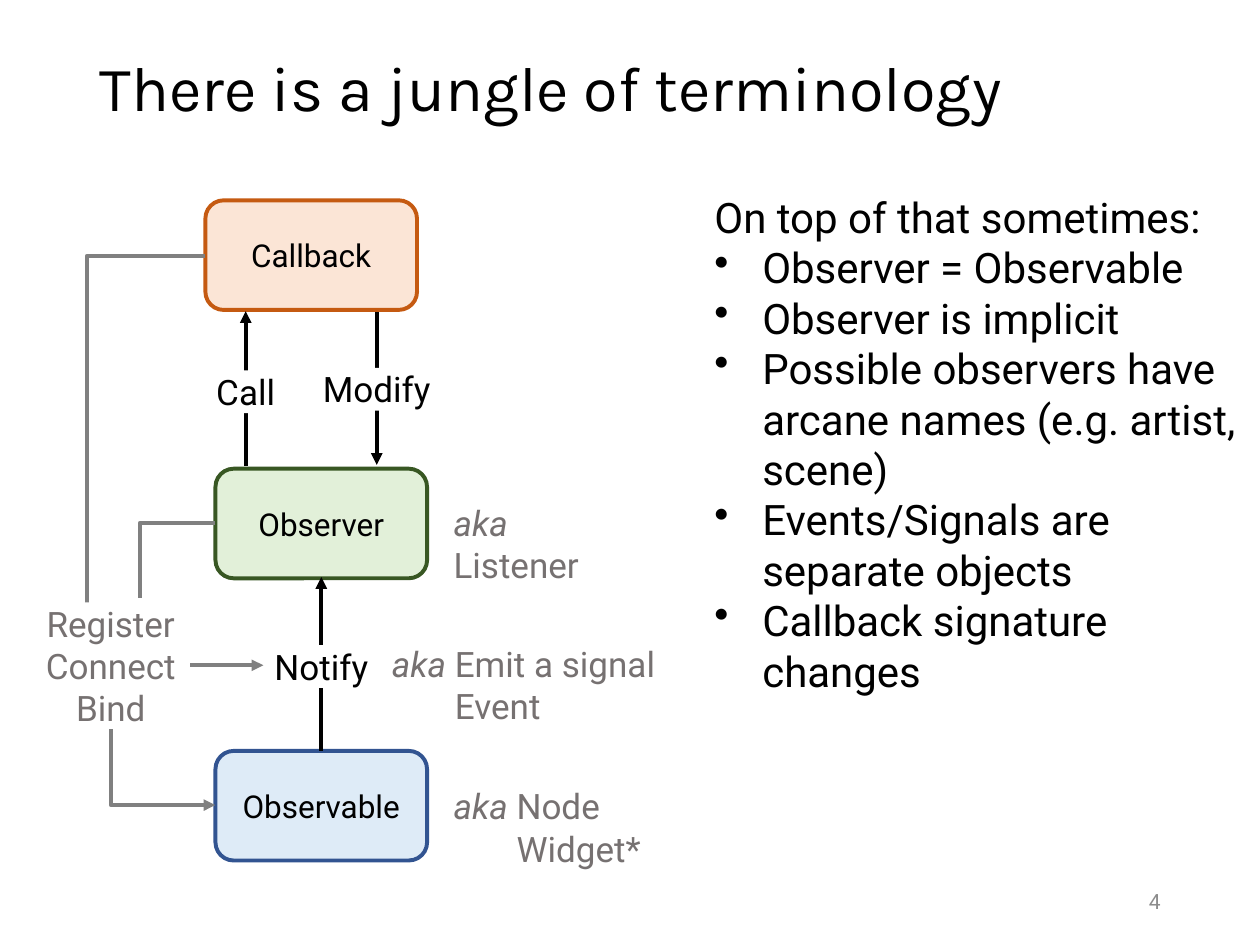
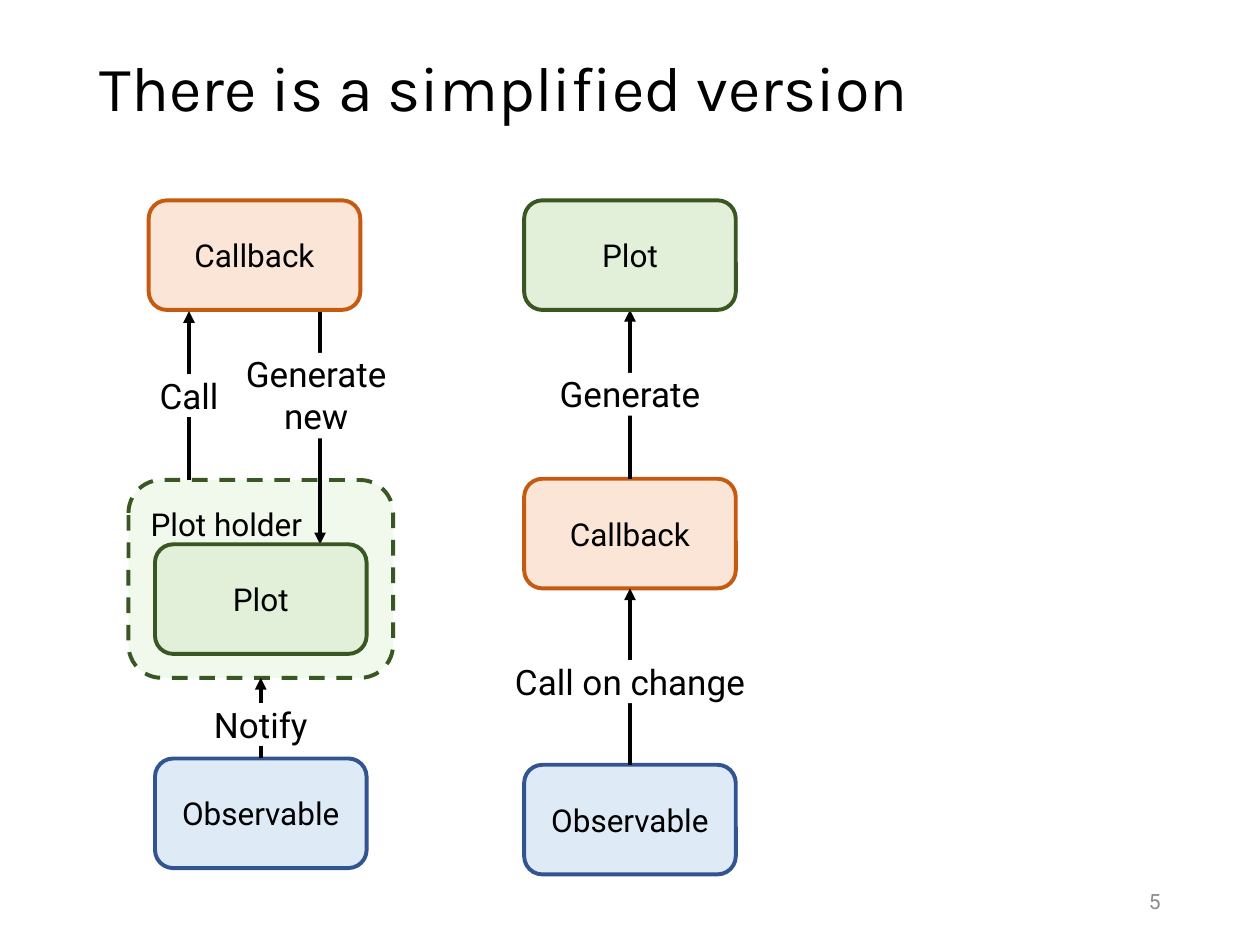
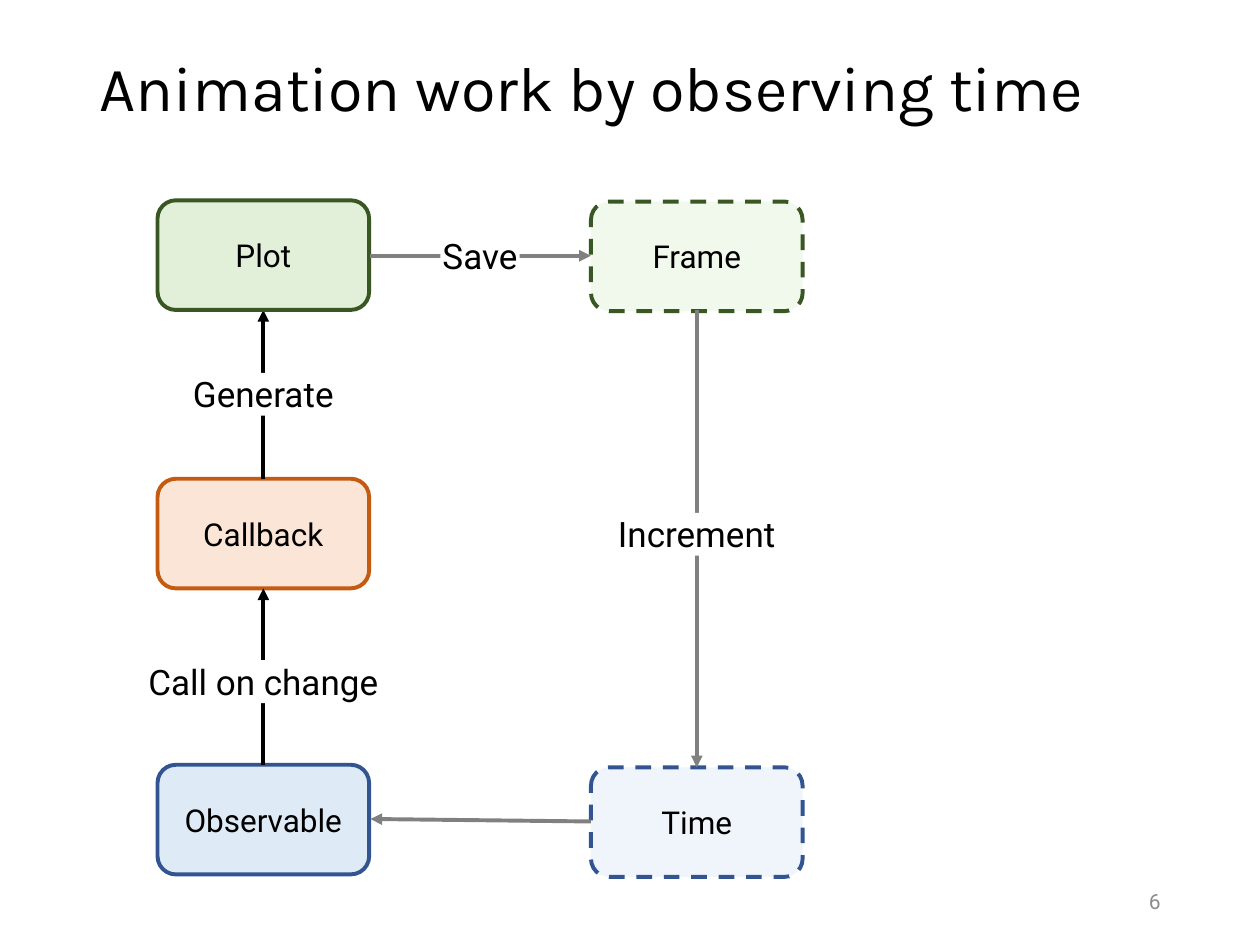
from lxml import etree
from pptx import Presentation
from pptx import util as u
from pptx.dml.color import RGBColor
from pptx.enum import dml, shapes, text
from pptx.oxml.ns import qn

BLACK = RGBColor(0, 0, 0)
WHITE = RGBColor(255, 255, 255)
GRAY = RGBColor(0x80, 0x80, 0x80)
NOTE = RGBColor(0x76, 0x71, 0x71)
PAGE = RGBColor(0x8C, 0x8C, 0x8C)
NAVY = RGBColor(0x32, 0x54, 0x91)
GREEN = RGBColor(0x38, 0x57, 0x23)
RUST = RGBColor(0xC5, 0x5A, 0x11)
SKY = RGBColor(0xDE, 0xEB, 0xF7)
MIST = RGBColor(0xEF, 0xF5, 0xFB)
LEAF = RGBColor(0xE2, 0xF0, 0xD9)
MINT = RGBColor(0xF1, 0xF8, 0xEC)
PEACH = RGBColor(0xFB, 0xE5, 0xD6)

KINDS = {
    "source": (SKY, NAVY, False),
    "view": (LEAF, GREEN, False),
    "call": (PEACH, RUST, False),
    "frame": (MINT, GREEN, True),
    "time": (MIST, NAVY, True),
}
LEFT, MID, RIGHT = text.PP_ALIGN.LEFT, text.PP_ALIGN.CENTER, text.PP_ALIGN.RIGHT
WIDE, HIGH, ROW = 1.68, 0.87, 0.34


class Deck:
    def __init__(self):
        self.prs = Presentation()
        self.prs.slide_width = u.Inches(10)
        self.prs.slide_height = u.Inches(7.5)

    def font(self, para, size, color=BLACK, align=LEFT, face="Roboto"):
        para.alignment = align
        para.font.name = face
        para.font.size = u.Pt(size)
        para.font.color.rgb = color

    def frame(self, shape, inset=0):
        tf = shape.text_frame
        tf.word_wrap = True
        tf.margin_left = tf.margin_right = u.Inches(inset)
        tf.margin_top = tf.margin_bottom = u.Inches(inset / 2)
        tf.vertical_anchor = text.MSO_ANCHOR.TOP
        return tf

    def area(self, x, y, w, h):
        return [u.Inches(n) for n in (x, y, w, h)]

    def page(self, title, num):
        self.slide = self.prs.slides.add_slide(self.prs.slide_layouts[5])
        head = self.slide.shapes.title
        head.left, head.top, head.width, head.height = self.area(0.69, 0.4, 8.62, 1.19)
        tf = self.frame(head, 0.1)
        tf.auto_size = text.MSO_AUTO_SIZE.NONE
        tf.text = title
        self.font(tf.paragraphs[0], 36, face="Karla")
        tf.paragraphs[0].line_spacing = 0.9
        foot = self.slide.shapes.add_textbox(*self.area(7.06, 6.95, 2.25, 0.4))
        tf = self.frame(foot, 0.1)
        tf.vertical_anchor = text.MSO_ANCHOR.MIDDLE
        tf.text = str(num)
        self.font(tf.paragraphs[0], 12, PAGE, RIGHT)

    def shape(self, form, x, y, w, h, fill):
        item = self.slide.shapes.add_shape(form, *self.area(x, y, w, h))
        item.shadow.inherit = False
        item.fill.solid()
        item.fill.fore_color.rgb = fill
        return item

    def node(self, name, kind, x, y, w=WIDE, h=HIGH):
        fill, edge, dash = KINDS[kind]
        item = self.shape(shapes.MSO_SHAPE.ROUNDED_RECTANGLE, x, y, w, h, fill)
        item.line.color.rgb = edge
        item.line.width = u.Pt(2.25)
        if dash:
            item.line.dash_style = dml.MSO_LINE.DASH
        tf = self.frame(item, 0.1)
        tf.vertical_anchor = text.MSO_ANCHOR.MIDDLE
        tf.text = name
        self.font(tf.paragraphs[0], 18, align=MID)
        return tf

    def label(self, lines, mid, y, w=0.92, color=BLACK):
        h = ROW * len(lines)
        item = self.shape(shapes.MSO_SHAPE.RECTANGLE, mid - w / 2, y, w, h, WHITE)
        item.line.fill.background()
        tf = self.frame(item)
        tf.text = "\n".join(lines)
        for para in tf.paragraphs:
            self.font(para, 20, color, MID)

    def aka(self, lines, x, y, w, indent):
        h = ROW * len(lines)
        item = self.shape(shapes.MSO_SHAPE.RECTANGLE, x, y, w, h, WHITE)
        item.line.fill.background()
        tf = self.frame(item)
        tf.text = "\n".join(lines)
        for para in tf.paragraphs:
            self.font(para, 20, NOTE)
        first, *rest = tf.paragraphs
        for para in rest:
            para._p.get_or_add_pPr().set("marL", str(u.Inches(indent)))
        run = first.runs[0]
        tail = run.text.removeprefix("aka")
        run.text = "aka"
        run.font.italic = True
        if tail:
            first.add_run().text = tail

    def line(self, x1, y1, x2, y2, color=BLACK, end="tailEnd", bent=False):
        form = shapes.MSO_CONNECTOR.ELBOW if bent else shapes.MSO_CONNECTOR.STRAIGHT
        item = self.slide.shapes.add_connector(form, *self.area(x1, y1, x2, y2))
        item.line.color.rgb = color
        item.line.width = u.Pt(2.25)
        props = item._element.spPr
        if bent:
            props.find(qn("a:prstGeom")).set("prst", "bentConnector2")
        if end:
            etree.SubElement(props.find(qn("a:ln")), qn(f"a:{end}"), type="triangle")
        etree.SubElement(props, qn("a:effectLst"))

    def points(self, intro, items, x, y, w, h):
        tf = self.frame(self.slide.shapes.add_textbox(*self.area(x, y, w, h)))
        tf.text = "\n".join([intro, *items])
        for para in tf.paragraphs:
            self.font(para, 24)
        for para in tf.paragraphs[1:]:
            props = para._p.get_or_add_pPr()
            props.set("marL", str(u.Inches(0.38)))
            props.set("indent", str(u.Inches(-0.38)))
            mark = etree.Element(qn("a:buChar"), char="•")
            props.insert_element_before(mark, "a:tabLst", "a:defRPr", "a:extLst")

    def chain(self, x):
        mid = x + WIDE / 2
        self.node("Observable", "source", x, 6.07)
        self.node("Callback", "call", x, 3.8)
        self.line(mid, 6.07, mid, 4.67)
        self.line(mid, 3.8, mid, 2.46)
        self.label(["Call on change"], mid, 5.24, 1.95)
        self.label(["Generate"], mid, 2.96, 1.38)
        self.node("Plot", "view", x, 1.59)


def jungle(deck):
    deck.page("There is a jungle of terminology", 4)
    deck.node("Observable", "source", 1.71, 5.96)
    deck.node("Observer", "view", 1.71, 3.72)
    deck.node("Callback", "call", 1.63, 1.59)
    deck.line(2.55, 5.96, 2.55, 4.58)
    deck.line(1.95, 3.7, 1.95, 2.47)
    deck.line(2.99, 2.48, 2.99, 3.69)
    deck.label(["Notify"], 2.55, 5.12)
    deck.label(["Call"], 1.95, 2.94)
    deck.label(["Modify"], 2.99, 2.92)
    deck.aka(["aka Node", "Widget*"], 3.6, 6.23, 2.15, 0.5)
    deck.aka(["aka", "Listener"], 3.6, 3.98, 1.48, 0)
    deck.aka(["aka Emit a signal", "Event"], 3.11, 5.1, 2.15, 0.5)
    deck.line(1.63, 2.03, 0.69, 4.94, GRAY, None, True)
    deck.label(["Register", "Connect", "Bind"], 0.88, 4.78, 1.26, NOTE)
    deck.line(1.71, 4.15, 1.11, 4.75, GRAY, None, True)
    deck.line(1.71, 6.39, 0.88, 5.79, GRAY, "headEnd", True)
    deck.line(1.51, 5.28, 2.09, 5.28, GRAY)
    deck.points("On top of that sometimes:", [
        "Observer = Observable",
        "Observer is implicit",
        "Possible observers have arcane names (e.g. artist, scene)",
        "Events/Signals are separate objects",
        "Callback signature changes",
    ], 5.67, 1.52, 4.19, 4.04)


def simple(deck):
    deck.page("There is a simplified version", 5)
    deck.chain(4.16)
    deck.node("Observable", "source", 1.23, 6.02)
    tf = deck.node("Plot holder", "frame", 1.02, 3.81, 2.1, 1.57)
    tf.vertical_anchor = text.MSO_ANCHOR.TOP
    tf.margin_top = u.Inches(0.12)
    tf.paragraphs[0].alignment = LEFT
    deck.node("Callback", "call", 1.18, 1.59)
    deck.line(2.07, 6.02, 2.07, 5.38)
    deck.line(1.5, 3.81, 1.5, 2.47)
    deck.line(2.54, 2.48, 2.54, 4.32)
    deck.label(["Notify"], 2.07, 5.58)
    deck.label(["Call"], 1.5, 2.97)
    deck.label(["Generate", "new"], 2.51, 2.8, 1.22)
    deck.node("Plot", "view", 1.23, 4.32)


def motion(deck):
    deck.page("Animation work by observing time", 6)
    deck.chain(1.25)
    deck.line(2.94, 2.03, 4.69, 2.03, GRAY)
    deck.node("Frame", "frame", 4.69, 1.6)
    deck.label(["Save"], 3.81, 1.86, 0.63)
    deck.node("Time", "time", 4.69, 6.09)
    deck.line(5.53, 2.46, 5.53, 6.09, GRAY)
    deck.line(4.69, 6.52, 2.94, 6.5, GRAY)
    deck.label(["Increment"], 5.53, 4.07, 2.24)


def main():
    deck = Deck()
    for build in (jungle, simple, motion):
        build(deck)
    deck.prs.save("out.pptx")


if __name__ == "__main__":
    main()
